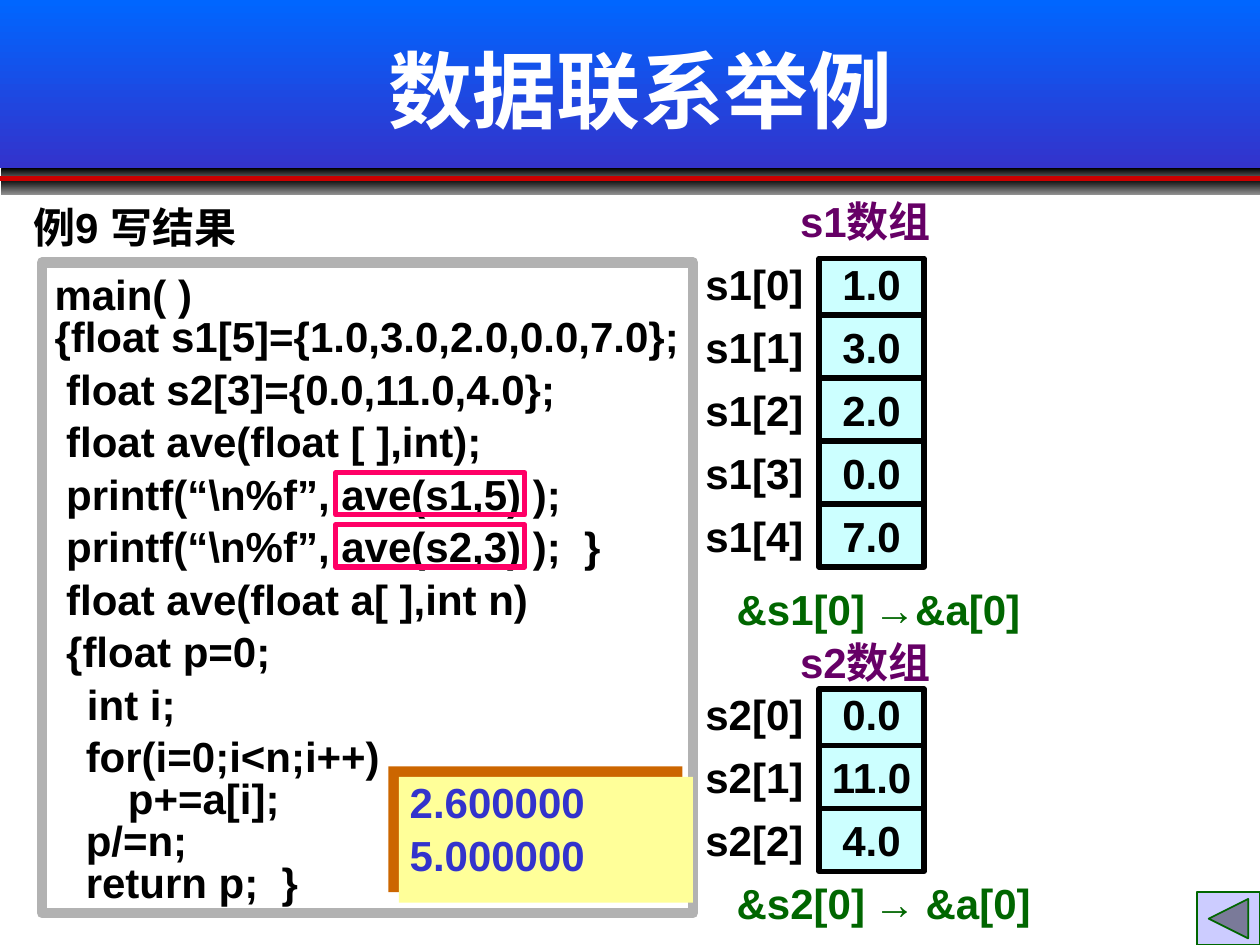
from lxml import etree
from pptx import Presentation
from pptx.dml.color import RGBColor
from pptx.enum.shapes import MSO_CONNECTOR, MSO_SHAPE
from pptx.enum.text import MSO_ANCHOR, MSO_AUTO_SIZE, PP_ALIGN
from pptx.oxml.ns import qn
from pptx.util import Cm, Pt

RECTANGLE = MSO_SHAPE.RECTANGLE
BACK_BUTTON = MSO_SHAPE.ACTION_BUTTON_BACK_OR_PREVIOUS
STRAIGHT = MSO_CONNECTOR.STRAIGHT
FIT_SHAPE = MSO_AUTO_SIZE.SHAPE_TO_FIT_TEXT
MIDDLE = MSO_ANCHOR.MIDDLE
LEFT, CENTER = PP_ALIGN.LEFT, PP_ALIGN.CENTER

BLACK = RGBColor(0x00, 0x00, 0x00)
WHITE = RGBColor(0xFF, 0xFF, 0xFF)
GRAY = RGBColor(0x80, 0x80, 0x80)
BAR_GRAY = RGBColor(0x91, 0x91, 0x91)
FRAME_GRAY = RGBColor(0xB2, 0xB2, 0xB2)
SKY_BLUE = RGBColor(0x00, 0x66, 0xFF)
INDIGO = RGBColor(0x33, 0x33, 0xCC)
RED = RGBColor(0xCC, 0x00, 0x00)
PINK = RGBColor(0xFF, 0x00, 0x66)
PURPLE = RGBColor(0x66, 0x00, 0x66)
GREEN = RGBColor(0x00, 0x66, 0x00)
CYAN = RGBColor(0xCC, 0xFF, 0xFF)
YELLOW = RGBColor(0xFF, 0xFF, 0x99)
ORANGE = RGBColor(0xCC, 0x66, 0x00)
LAVENDER = RGBColor(0xCC, 0xCC, 0xFF)

TEXT_FORMAT = {"name": "Arial", "size": Pt(24), "bold": True}
TITLE_FORMAT = {"name": "Arial", "size": Pt(48), "bold": True}
ROW = 1.27

# Code lines: left, top, width, text
CODE_LINES = [
    (0.85, 5.29, 4.66, "main( )"),
    (0.85, 6.14, 14.4, "{float s1[5]={1.0,3.0,2.0,0.0,7.0};"),
    (0.85, 7.2, 10.8, " float s2[3]={0.0,11.0,4.0};"),
    (0.85, 8.26, 10.8, " float ave(float [ ],int);"),
    (0.85, 9.31, 10.8, " printf(“\\n%f”, ave(s1,5) );"),
    (0.85, 10.37, 11.85, " printf(“\\n%f”, ave(s2,3) );  }"),
    (0.85, 11.43, 10.8, " float ave(float a[ ],int n)"),
    (0.85, 12.49, 6.35, " {float p=0;"),
    (1.27, 13.55, 3.18, " int i;"),
    (1.48, 14.61, 7.2, "for(i=0;i<n;i++)"),
    (2.33, 15.45, 7.2, "p+=a[i];"),
    (1.48, 16.3, 4.45, "p/=n;"),
    (1.48, 17.15, 7.2, "return p;  }"),
]


def format_text(para, text, color, formats=TEXT_FORMAT):
    span = para.add_run()
    span.text = text
    for name, value in formats.items():
        setattr(span.font, name, value)
    span.font.color.rgb = color


def add_text(page, left, top, width, text, color=BLACK, align=LEFT, inset=True):
    height = 1.27 if inset else 1.02
    box = page.shapes.add_textbox(Cm(left), Cm(top), Cm(width), Cm(height))
    frame = box.text_frame
    frame.word_wrap = True
    frame.auto_size = FIT_SHAPE
    if not inset:
        for side in ("left", "top", "right", "bottom"):
            setattr(frame, f"margin_{side}", 0)
    frame.paragraphs[0].alignment = align
    format_text(frame.paragraphs[0], text, color)


def add_block(page, left, top, width, height, fill=None, line=None,
              weight=3, kind=RECTANGLE):
    """Draw a preset shape; a pair of colours makes a downward gradient."""
    block = page.shapes.add_shape(kind, Cm(left), Cm(top), Cm(width), Cm(height))
    block.shadow.inherit = False
    if fill is None:
        block.fill.background()
    elif isinstance(fill, RGBColor):
        block.fill.solid()
        block.fill.fore_color.rgb = fill
    else:
        block.fill.gradient()
        block.fill.gradient_angle = 270
        for stop, color in zip(block.fill.gradient_stops, fill):
            stop.color.rgb = color
    if line is None:
        block.line.fill.background()
    else:
        block.line.color.rgb = line
        block.line.width = Pt(weight)
    return block


def add_shadow(block, color, distance, angle):
    effects = block._element.spPr.find(qn("a:effectLst"))
    shadow = etree.SubElement(effects, qn("a:outerShdw"), dist=str(Pt(distance)),
                              dir=str(angle * 60000), algn="ctr", rotWithShape="0")
    etree.SubElement(shadow, qn("a:srgbClr"), val=str(color))


def add_rule(page, left, top, width, color=BLACK):
    rule = page.shapes.add_connector(STRAIGHT, Cm(left), Cm(top),
                                     Cm(left + width), Cm(top))
    rule.line.color.rgb = color
    rule.line.width = Pt(3)
    etree.SubElement(rule._element.spPr, qn("a:effectLst"))


def add_header(page, text):
    banner = add_block(page, 0, 0, 25.4, 3.39, (SKY_BLUE, INDIGO))
    add_shadow(banner, GRAY, 1.4, 45)
    for top, height in ((3.39, 0.3), (3.6, 0.33)):
        add_block(page, 0.03, top, 25.37, height, (BLACK, BAR_GRAY))
    add_rule(page, 0, 3.6, 25.4, RED)

    title = page.shapes.title
    page.shapes._spTree.append(title._element)  # in front of the banner
    places = {"left": 2.12, "top": 0.21, "width": 21.59, "height": 3.18}
    for name, value in places.items():
        setattr(title, name, Cm(value))
    title.text_frame.vertical_anchor = MIDDLE
    para = title.text_frame.paragraphs[0]
    para.alignment = CENTER
    format_text(para, text, WHITE, TITLE_FORMAT)


def add_array(page, name, top, values, heading_top):
    """Draw an array as a column of cells with its name and index labels."""
    add_text(page, 15.88, heading_top, 3.81, f"{name}数组", PURPLE)
    frame_top = top + 0.13
    add_block(page, 16.51, frame_top, 2.12, len(values) * ROW - 0.13, CYAN, BLACK)
    for index, value in enumerate(values):
        row_top = top + index * ROW
        if index:
            add_rule(page, 16.51, row_top, 2.12)
        add_text(page, 13.97, row_top, 2.75, f"{name}[{index}]")
        add_text(page, 16.41, row_top, 2.32, value, align=CENTER)


def add_address(page, top, source, target_left):
    add_text(page, 14.6, top, 3.4, source, GREEN)
    add_text(page, 17.36, top, 1.27, "→", GREEN)
    add_text(page, target_left, top, 3.18, "&a[0]", GREEN)


def main():
    deck = Presentation()
    deck.slide_width, deck.slide_height = Cm(25.4), Cm(19.05)
    page = deck.slides.add_slide(deck.slide_layouts[5])

    add_header(page, "数据联系举例")

    # Framed program with the two calls marked
    add_text(page, 0.42, 3.94, 5.93, "例9 写结果")
    add_block(page, 0.85, 5.29, 13.12, 13.12, line=FRAME_GRAY, weight=6)
    for left, top, width, text in CODE_LINES:
        add_text(page, left, top, width, text)
    for top in (9.53, 10.58):
        add_block(page, 6.77, top, 3.81, 0.85, line=PINK)

    # Arrays and the addresses they pass
    add_array(page, "s1", 5.08, ["1.0", "3.0", "2.0", "0.0", "7.0"], 3.81)
    add_array(page, "s2", 13.76, ["0.0", "11.0", "4.0"], 12.7)
    add_address(page, 11.64, "&s1[0]", 18.2)
    add_address(page, 17.57, "&s2[0]", 18.41)

    # Program output
    output = add_block(page, 8.04, 15.66, 5.93, 2.54, YELLOW)
    add_shadow(output, ORANGE, 8.5, 225)
    for top, text in ((15.66, "2.600000"), (16.72, "5.000000")):
        add_text(page, 8.26, top, 4.23, text, INDIGO, inset=False)

    # Back button
    add_block(page, 24.13, 17.99, 1.27, 1.06, LAVENDER, GREEN, 1, BACK_BUTTON)

    deck.save("out.pptx")


if __name__ == "__main__":
    main()
